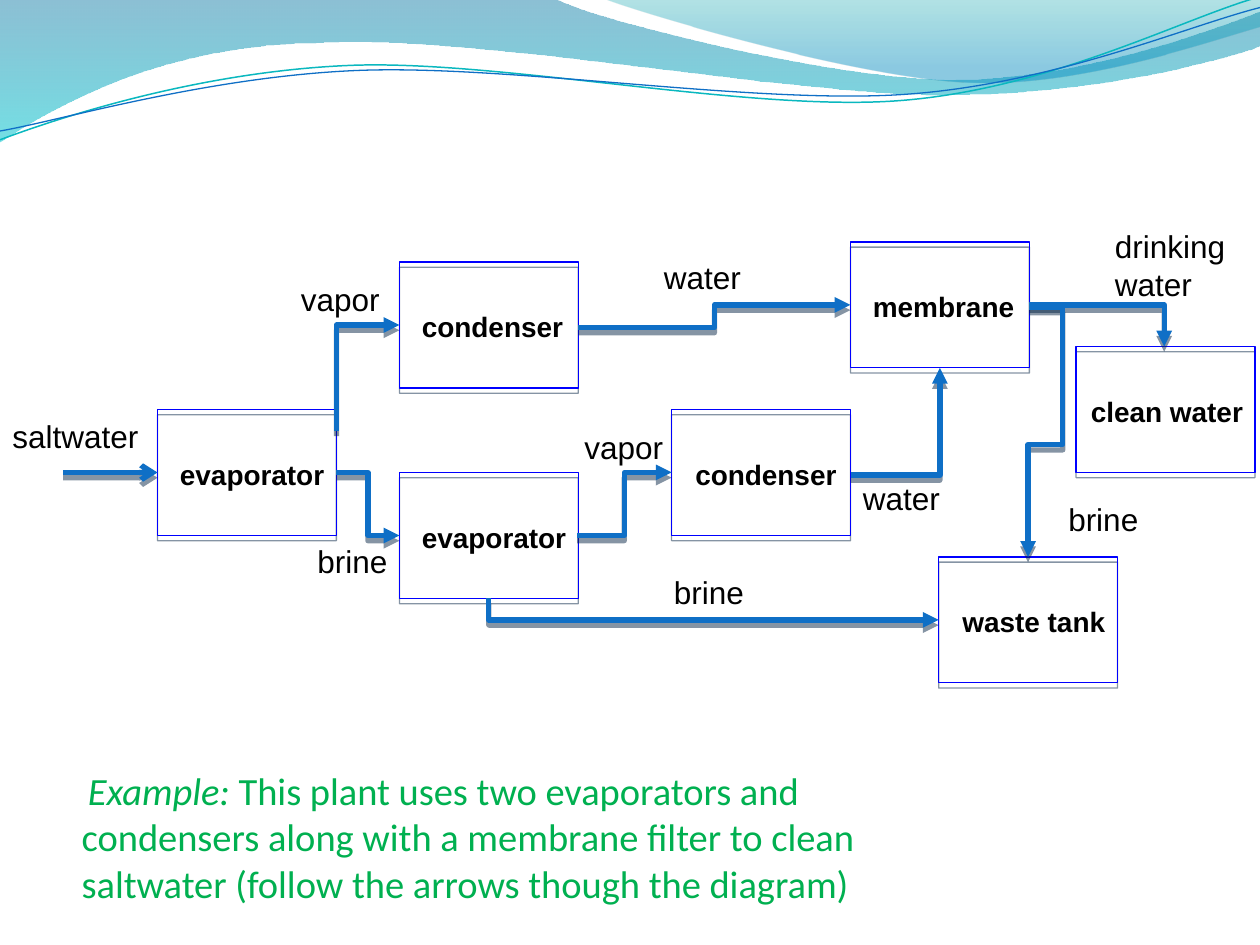
from lxml.etree import SubElement
from pptx import Presentation
from pptx.dml.color import RGBColor
from pptx.enum.shapes import MSO_CONNECTOR, MSO_SHAPE
from pptx.oxml.ns import qn
from pptx.util import Inches, Pt

COLORS = {
    "black": "000000", "note": "00B050", "box": "0000FF", "flow": "0F6FC6",
    "teal": "0AB8BF", "shadow": "002041", "deep": "0074A1", "aqua": "00C6CF",
    "sea": "00A1A9", "sky": "008BBF",
}
BOX_WIDTH, BOX_HEIGHT = 1.42, 1

BIG_WAVE = [[(0, -0.01)], [(4.4, -0.01)],
            [(4.76, 0.17), (6.64, 0.63), (7.58, 0.63)],
            [(8.53, 0.63), (9.58, 0.26), (10, 0.09)], [(10.01, 0.36)],
            [(9.83, 0.44), (8.7, 0.76), (7.46, 0.75)],
            [(6.22, 0.75), (3.82, 0.28), (2.57, 0.34)],
            [(1.29, 0.35), (0.46, 0.83), (-0.01, 1.13)]]
SMALL_WAVE = [[(4.79, -0.01)], [(5.09, 0.11), (6.82, 0.62), (7.69, 0.65)],
              [(8.56, 0.69), (9.61, 0.32), (10, 0.21)], [(10, 0)]]
TEAL_CURVE = [[(0, 1.11)], [(0.48, 0.93), (1.58, 0.57), (2.77, 0.52)],
              [(3.95, 0.47), (5.93, 0.89), (7.13, 0.8)],
              [(8.33, 0.71), (9.38, 0.15), (9.98, -0.02)]]
BLUE_CURVE = [[(0, 1.04)], [(0.47, 0.96), (1.64, 0.61), (2.83, 0.56)],
              [(4.03, 0.51), (5.97, 0.83), (7.17, 0.75)],
              [(8.36, 0.67), (9.41, 0.21), (10, 0.06)]]

UNITS = [
    ("evaporator", 1.25, 3.25, 0.08, 1.36), ("condenser", 3.17, 2.08, 0.08, 1.33),
    ("membrane", 6.75, 1.92, 0.08, 1.34), ("evaporator", 3.17, 3.75, 0.08, 1.36),
    ("condenser", 5.33, 3.25, 0.09, 1.33), ("waste tank", 7.45, 4.42, 0.09, 1.35),
    ("clean water", 8.54, 2.75, 0.02, 1.43),
]
STREAMS = [
    ("saltwater", 0, 3.26, 1.21, 0.4, False), ("vapor", 2.29, 2.17, 0.83, 0.4, False),
    ("brine", 2.42, 4.25, 0.79, 0.4, False), ("vapor", 4.54, 3.35, 0.83, 0.4, False),
    ("water", 5.17, 2, 0.92, 0.4, True), ("water", 6.75, 3.75, 0.92, 0.4, True),
    ("drinking water", 8.75, 1.75, 1.25, 0.71, True),
    ("brine", 8.38, 3.92, 0.79, 0.4, False), ("brine", 5.25, 4.5, 0.79, 0.4, False),
]
FLOWS = [
    {"begin": (0.5, 3.75), "end": (1.25, 3.75), "bends": 0, "head": "arrow"},
    {"begin": (2.67, 3.42), "end": (3.17, 2.58), "bends": 1, "turn": 90},
    {"begin": (2.67, 3.75), "end": (3.17, 4.25)},
    {"begin": (4.58, 4.25), "end": (5.33, 3.75)},
    {"begin": (6.75, 3.77), "end": (7.46, 2.92), "bends": 1},
    {"begin": (4.59, 2.6), "end": (6.75, 2.42)},
    {"begin": (8.17, 2.42), "end": (9.24, 2.75), "bends": 1},
    {"begin": (3.88, 4.75), "end": (7.45, 4.92), "bends": 1, "turn": 270},
    {"begin": (8.17, 2.44), "end": (8.16, 4.42), "bends": 3, "adjust": (-27, 0.55)},
]


def rgb(name):
    """Return the named colour."""
    return RGBColor.from_string(COLORS[name])


def add_span(para, text, font="Arial", size=18, color="black", bold=False, italic=False):
    """Add formatted text to a paragraph."""
    span = para.add_run()
    span.text = text
    span.font.name, span.font.size = font, Pt(size)
    span.font.bold, span.font.italic = bold, italic
    span.font.color.rgb = rgb(color)


def add_text_box(page, left, top, width, height, wrap=False):
    """Add an empty text box and return its first paragraph."""
    box = page.shapes.add_textbox(Inches(left), Inches(top), Inches(width), Inches(height))
    box.text_frame.word_wrap = wrap
    return box.text_frame.paragraphs[0]


def set_line(shape, color, width):
    """Set the colour and width of an outline."""
    shape.line.color.rgb = rgb(color)
    shape.line.width = Pt(width)


def add_alpha(color_element, percent):
    """Set the opacity of a colour element."""
    SubElement(color_element, qn("a:alpha"), val=str(percent * 1000))


def drop_shadow(properties):
    """Put a hard shadow three points below a shape."""
    effects = properties.find(qn("a:effectLst"))
    if effects is None:
        effects = SubElement(properties, qn("a:effectLst"))
    shadow = SubElement(effects, qn("a:outerShdw"), blurRad="0", dist=str(Pt(3)),
                        dir="5400000", algn="ctr", rotWithShape="0")
    add_alpha(SubElement(shadow, qn("a:srgbClr"), val=COLORS["shadow"]), 48)


def add_curve(page, outline, close):
    """Draw an outline of straight and cubic pieces without fill or shadow."""
    ends = [(Inches(piece[-1][0]), Inches(piece[-1][1])) for piece in outline]
    builder = page.shapes.build_freeform(*ends[0])
    builder.add_line_segments(ends[1:], close=close)
    shape = builder.convert_to_shape()
    segments = list(shape.element.spPr.iter(qn("a:lnTo")))
    for segment, piece in zip(segments, outline[1:]):
        if len(piece) == 3:
            segment.tag = qn("a:cubicBezTo")
            segment.remove(segment[0])
            for x, y in piece:
                SubElement(segment, qn("a:pt"), x=str(Inches(x) - shape.left),
                           y=str(Inches(y) - shape.top))
    shape.shadow.inherit = False
    shape.fill.background()
    return shape


def add_wave(page, outline, stops):
    """Draw a wave with a translucent vertical gradient."""
    wave = add_curve(page, outline, True)
    wave.line.fill.background()
    wave.fill.gradient()
    wave.fill.gradient_angle = 270
    for stop, (position, color, _) in zip(wave.fill.gradient_stops, stops):
        stop.position, stop.color.rgb = position, rgb(color)
    elements = wave.element.spPr.iter(qn("a:srgbClr"))
    for element, (_, _, percent) in zip(list(elements), stops):
        add_alpha(element, percent)


def add_header(page):
    """Draw the waves and curves along the top."""
    add_wave(page, BIG_WAVE, [(0, "deep", 45), (1, "aqua", 55)])
    add_wave(page, SMALL_WAVE, [(0, "sea", 30), (0.8, "sky", 45)])
    for outline, color, width in ((TEAL_CURVE, "teal", 0.85), (BLUE_CURVE, "flow", 0.75)):
        set_line(add_curve(page, outline, False), color, width)


def add_unit(page, name, left, top, inset, label_width):
    """Draw one plant unit and its label."""
    unit = page.shapes.add_shape(MSO_SHAPE.RECTANGLE, Inches(left), Inches(top),
                                 Inches(BOX_WIDTH), Inches(BOX_HEIGHT))
    unit.fill.background()
    set_line(unit, "box", 0.75)
    unit.shadow.inherit = False
    drop_shadow(unit.element.spPr)
    para = add_text_box(page, left + inset, top + 0.33, label_width, 0.37)
    add_span(para, name, size=16, bold=True)


def add_flow(page, begin, end, bends=2, turn=0, head="triangle", adjust=()):
    """Draw an arrow with right-angle bends; a turn makes it leave vertically."""
    middle_x, middle_y = (begin[0] + end[0]) / 2, (begin[1] + end[1]) / 2
    dx, dy = begin[0] - middle_x, begin[1] - middle_y
    dx, dy = {0: (dx, dy), 90: (dy, -dx), 270: (-dy, dx)}[turn]
    kind = MSO_CONNECTOR.ELBOW if bends else MSO_CONNECTOR.STRAIGHT
    flow = page.shapes.add_connector(kind, Inches(middle_x + dx), Inches(middle_y + dy),
                                     Inches(middle_x - dx), Inches(middle_y - dy))
    properties = flow._element.spPr
    if turn:
        properties.find(qn("a:xfrm")).set("rot", str(turn * 60000))
    geometry = properties.find(qn("a:prstGeom"))
    if bends:
        geometry.set("prst", f"bentConnector{bends + 1}")
    for number, value in enumerate(adjust, 1):
        SubElement(geometry.find(qn("a:avLst")), qn("a:gd"), name=f"adj{number}",
                   fmla=f"val {round(value * 100000)}")
    set_line(flow, "flow", 3)
    SubElement(properties.find(qn("a:ln")), qn("a:tailEnd"), type=head)
    drop_shadow(properties)


def add_diagram(page):
    """Draw the units, flows and stream names of the plant."""
    for unit in UNITS:
        add_unit(page, *unit)
    for flow in FLOWS:
        add_flow(page, **flow)
    for name, *place in STREAMS:
        add_span(add_text_box(page, *place), name)


def add_note(page, left, top, width, height):
    """Write the example text below the diagram."""
    para = add_text_box(page, left, top, width, height, wrap=True)
    indents = para._p.get_or_add_pPr()
    indents.set("marL", str(Inches(0.3)))
    indents.set("indent", str(Inches(0.05)))
    para.font.size = Pt(22)
    style = {"font": "Calibri", "size": 22, "color": "note"}
    add_span(para, "Example: ", italic=True, **style)
    add_span(para, "This plant uses two evaporators and ", **style)
    para.add_line_break()
    add_span(para, "condensers along with a membrane filter to clean saltwater "
                   "(follow the arrows though the diagram)", **style)


def main():
    """Build the deck and save it."""
    deck = Presentation()
    deck.slide_width, deck.slide_height = Inches(10), Inches(7.5)
    page = deck.slides.add_slide(deck.slide_layouts[6])
    add_header(page)
    add_diagram(page)
    add_note(page, 0.25, 6.04, 7.83, 1.22)
    deck.save("out.pptx")


if __name__ == "__main__":
    main()
